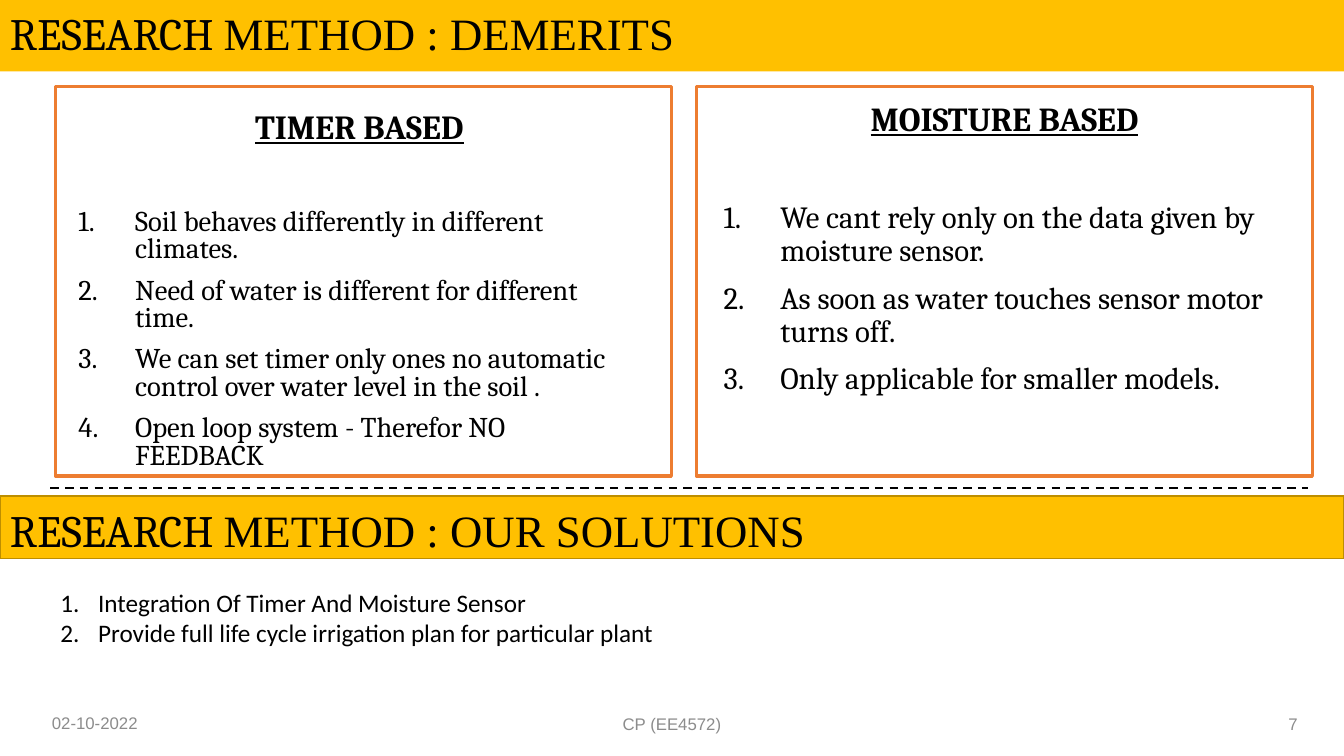
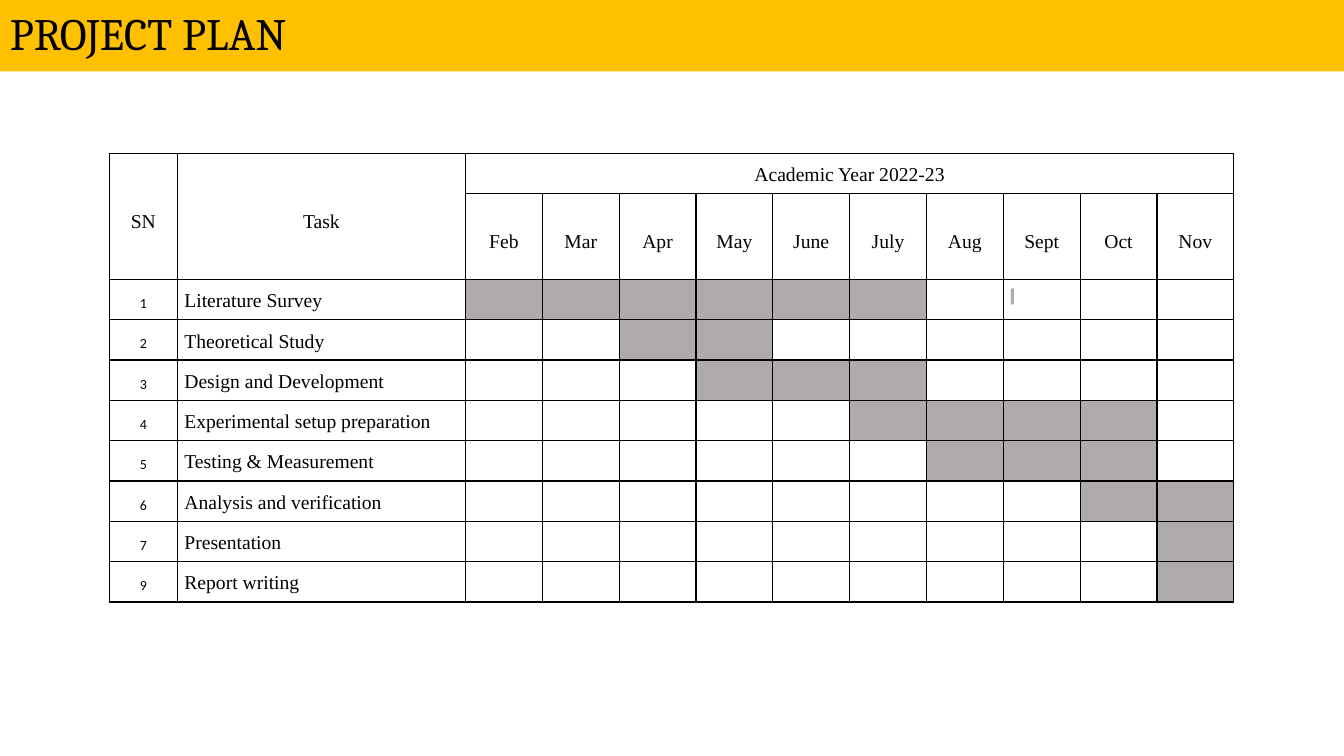
from dataclasses import dataclass
from typing import Any, NamedTuple

from lxml.etree import SubElement
from pptx import Presentation
from pptx.dml.color import RGBColor
from pptx.enum.dml import MSO_LINE
from pptx.enum.shapes import MSO_CONNECTOR, MSO_SHAPE
from pptx.enum.text import MSO_ANCHOR, PP_ALIGN
from pptx.oxml.ns import qn
from pptx.util import Pt

# Shared look
BLACK, WHITE, AMBER, DARK_AMBER = "000000", "FFFFFF", "FFC000", "BD8E00"
ORANGE, FOOTER_GREY, BUSY_GREY = "ED7D31", "8C8C8C", "AFABAB"
SERIF, ROMAN, SANS, FOOTER_FACE = "Cambria", "Times New Roman", "Calibri", "Arial"
SLIDE_WIDTH, SLIDE_HEIGHT = 960, 540
TITLE_WIDTH, BAND_HEIGHT = 828, 51


class Box(NamedTuple):
    left: float
    top: float
    width: float
    height: float

    def points(self) -> list[Pt]:
        return [Pt(length) for length in self]


@dataclass
class Panel:
    frame: Box
    body: Box
    heading: str
    heading_size: float
    items: list[str]
    item_size: float
    spacing: float


@dataclass
class Task:
    number: str
    name: str
    first: str
    last: str


PANELS = [
    Panel(Box(39.6, 62, 440, 278), Box(49, 77.8, 415.4, 263), "TIMER BASED", 24.1, [
        "Soil behaves differently in different climates.",
        "Need of water is different for different time.",
        "We can set timer only ones no automatic control over water level in the soil .",
        "Open loop system - Therefor NO FEEDBACK",
    ], 20.4, 0.8),
    Panel(Box(497.5, 62, 440, 278), Box(509.8, 69.8, 415.4, 280), "MOISTURE BASED", 24, [
        "We cant rely only on the data given by moisture sensor.",
        "As soon as water touches sensor motor turns off.",
        "Only applicable for smaller models.",
    ], 22, 0.9),
]
SOLUTIONS = [
    "Integration Of Timer And Moisture Sensor",
    "Provide full life cycle irrigation plan for particular plant",
]
FOOTERS = [
    ("02-10-2022", Box(30, 502, 216, 28.8), PP_ALIGN.LEFT),
    ("CP (EE4572)", Box(318, 502.5, 324, 28.8), PP_ALIGN.CENTER),
    ("7", Box(718, 502.5, 216, 28.8), PP_ALIGN.RIGHT),
]
MONTHS = ["Feb", "Mar", "Apr", "May", "June", "July", "Aug", "Sept", "Oct", "Nov"]
TASKS = [
    Task("1", "Literature Survey", "Feb", "July"),
    Task("2", "Theoretical Study", "Apr", "May"),
    Task("3", "Design and Development", "May", "July"),
    Task("4", "Experimental setup preparation", "July", "Oct"),
    Task("5", "Testing & Measurement", "Aug", "Oct"),
    Task("6", "Analysis and verification", "Oct", "Nov"),
    Task("7", "Presentation", "Nov", "Nov"),
    Task("9", "Report writing", "Nov", "Nov"),
]


# Drawing helpers
def rgb(code: str) -> RGBColor:
    return RGBColor.from_string(code)


def set_values(target: Any, values: dict[str, Any]) -> None:
    for name, value in values.items():
        setattr(target, name, value)


def write(paragraph: Any, text: str, face: str, size: float, color: str = BLACK,
          **values: Any) -> None:
    run = paragraph.add_run()
    run.text = text
    set_values(run.font, {"name": face, "size": Pt(size), **values})
    run.font.color.rgb = rgb(color)


def add_text(slide: Any, box: Box, anchor: MSO_ANCHOR = MSO_ANCHOR.TOP) -> Any:
    frame = slide.shapes.add_textbox(*box.points()).text_frame
    set_values(frame, {"word_wrap": True, "vertical_anchor": anchor})
    return frame


def number(paragraph: Any, indent: float) -> None:
    properties = paragraph._p.get_or_add_pPr()
    properties.set("marL", str(Pt(indent)))
    properties.set("indent", str(-Pt(indent)))
    SubElement(properties, qn("a:buAutoNum"), type="arabicPeriod")


def add_rectangle(slide: Any, box: Box, fill: str | None = None,
                  line: str | None = None, weight: float = 1) -> None:
    shape = slide.shapes.add_shape(MSO_SHAPE.RECTANGLE, *box.points())
    shape.shadow.inherit = False
    if fill:
        shape.fill.solid()
        shape.fill.fore_color.rgb = rgb(fill)
    else:
        shape.fill.background()
    if line:
        shape.line.color.rgb = rgb(line)
        shape.line.width = Pt(weight)
    else:
        shape.line.fill.background()


def add_title(slide: Any, top: float, serif_part: str, roman_part: str = "") -> None:
    frame = add_text(slide, Box(0, top, TITLE_WIDTH, BAND_HEIGHT), MSO_ANCHOR.MIDDLE)
    paragraph = frame.paragraphs[0]
    paragraph.line_spacing = 0.9
    write(paragraph, serif_part, SERIF, 32)
    if roman_part:
        write(paragraph, roman_part, ROMAN, 32)


def new_slide(deck: Any, serif_part: str, roman_part: str = "") -> Any:
    slide = deck.slides.add_slide(deck.slide_layouts[6])
    add_rectangle(slide, Box(0, 0, SLIDE_WIDTH, BAND_HEIGHT), AMBER)
    add_title(slide, 0, serif_part, roman_part)
    return slide


def add_panel(slide: Any, panel: Panel) -> None:
    add_rectangle(slide, panel.frame, line=ORANGE, weight=2.25)
    frame = add_text(slide, panel.body)
    heading = frame.paragraphs[0]
    set_values(heading, {"alignment": PP_ALIGN.CENTER, "line_spacing": panel.spacing})
    write(heading, panel.heading, SERIF, panel.heading_size, bold=True, underline=True)
    for index, item in enumerate(panel.items):
        paragraph = frame.add_paragraph()
        number(paragraph, 40.5)
        set_values(paragraph, {"line_spacing": panel.spacing,
                               "space_before": Pt(10 if index else 45)})
        write(paragraph, item, SERIF, panel.item_size)


def add_divider(slide: Any, left: float, right: float, top: float) -> None:
    divider = slide.shapes.add_connector(
        MSO_CONNECTOR.STRAIGHT, Pt(left), Pt(top), Pt(right), Pt(top))
    divider.line.color.rgb = rgb(BLACK)
    set_values(divider.line, {"width": Pt(1.5), "dash_style": MSO_LINE.DASH})
    SubElement(divider._element.spPr, qn("a:effectLst"))


def style_cell(cell: Any, fill: str) -> None:
    set_values(cell, {"margin_left": Pt(5), "margin_right": Pt(5),
                      "margin_top": 0, "margin_bottom": 0})
    properties = cell._tc.get_or_add_tcPr()
    for side in ("lnL", "lnR", "lnT", "lnB"):
        border = SubElement(properties, qn(f"a:{side}"), w=str(Pt(1)))
        SubElement(SubElement(border, qn("a:solidFill")), qn("a:srgbClr"), val=BLACK)
    cell.fill.solid()
    cell.fill.fore_color.rgb = rgb(fill)


def fill_cell(cell: Any, text: str, face: str = ROMAN, size: float = 14,
              alignment: PP_ALIGN = PP_ALIGN.CENTER,
              anchor: MSO_ANCHOR = MSO_ANCHOR.MIDDLE) -> None:
    cell.vertical_anchor = anchor
    paragraph = cell.text_frame.paragraphs[0]
    set_values(paragraph, {"alignment": alignment, "line_spacing": 1.5,
                           "space_after": Pt(10)})
    write(paragraph, text, face, size)


# Slides
def build_methods(deck: Any) -> None:
    slide = new_slide(deck, "RESEARCH ", "METHOD : DEMERITS")
    for panel in PANELS:
        add_panel(slide, panel)
    add_divider(slide, 36, 934, 348.5)

    # Solutions
    add_rectangle(slide, Box(0, 354.2, SLIDE_WIDTH, 44.6), AMBER, DARK_AMBER)
    add_title(slide, 355, "RESEARCH ", "METHOD : OUR SOLUTIONS")
    frame = add_text(slide, Box(36, 416, 898, 51))
    for index, solution in enumerate(SOLUTIONS):
        paragraph = frame.add_paragraph() if index else frame.paragraphs[0]
        number(paragraph, 27)
        write(paragraph, solution, SANS, 18)

    # Footer
    for text, box, alignment in FOOTERS:
        paragraph = add_text(slide, box, MSO_ANCHOR.MIDDLE).paragraphs[0]
        paragraph.alignment = alignment
        write(paragraph, text, FOOTER_FACE, 12, FOOTER_GREY)


def build_plan(deck: Any) -> None:
    slide = new_slide(deck, "PROJECT PLAN")
    widths = [48.7, 205.8] + [54.9] * len(MONTHS)
    heights = [28.8, 61.2] + [28.8] * len(TASKS)
    box = Box(78, 109.6, sum(widths), sum(heights))
    plan = slide.shapes.add_table(len(heights), len(widths), *box.points()).table
    set_values(plan, {"first_row": False, "horz_banding": False})
    for column, width in zip(plan.columns, widths):
        column.width = Pt(width)
    for row, height in zip(plan.rows, heights):
        row.height = Pt(height)

    # Cell fills: grey from a task's first month to its last
    busy = {(row, column) for row, task in enumerate(TASKS, 2)
            for column in range(MONTHS.index(task.first) + 2, MONTHS.index(task.last) + 3)}
    for row in range(len(heights)):
        for column in range(len(widths)):
            style_cell(plan.cell(row, column), BUSY_GREY if (row, column) in busy else WHITE)

    # Header
    for column, label in enumerate(["SN", "Task"]):
        plan.cell(0, column).merge(plan.cell(1, column))
        fill_cell(plan.cell(0, column), label)
    plan.cell(0, 2).merge(plan.cell(0, len(widths) - 1))
    fill_cell(plan.cell(0, 2), "Academic Year 2022-23", anchor=MSO_ANCHOR.TOP)
    for column, month in enumerate(MONTHS, 2):
        fill_cell(plan.cell(1, column), month)

    # Tasks
    for row, task in enumerate(TASKS, 2):
        fill_cell(plan.cell(row, 0), task.number, SANS, 10)
        fill_cell(plan.cell(row, 1), task.name, alignment=PP_ALIGN.JUSTIFY,
                  anchor=MSO_ANCHOR.TOP)

    # Small mark in September
    add_rectangle(slide, Box(722, 206, 2.2, 11.5), BUSY_GREY)


def main() -> None:
    deck = Presentation()
    set_values(deck, {"slide_width": Pt(SLIDE_WIDTH), "slide_height": Pt(SLIDE_HEIGHT)})
    build_methods(deck)
    build_plan(deck)
    deck.save("out.pptx")


if __name__ == "__main__":
    main()
